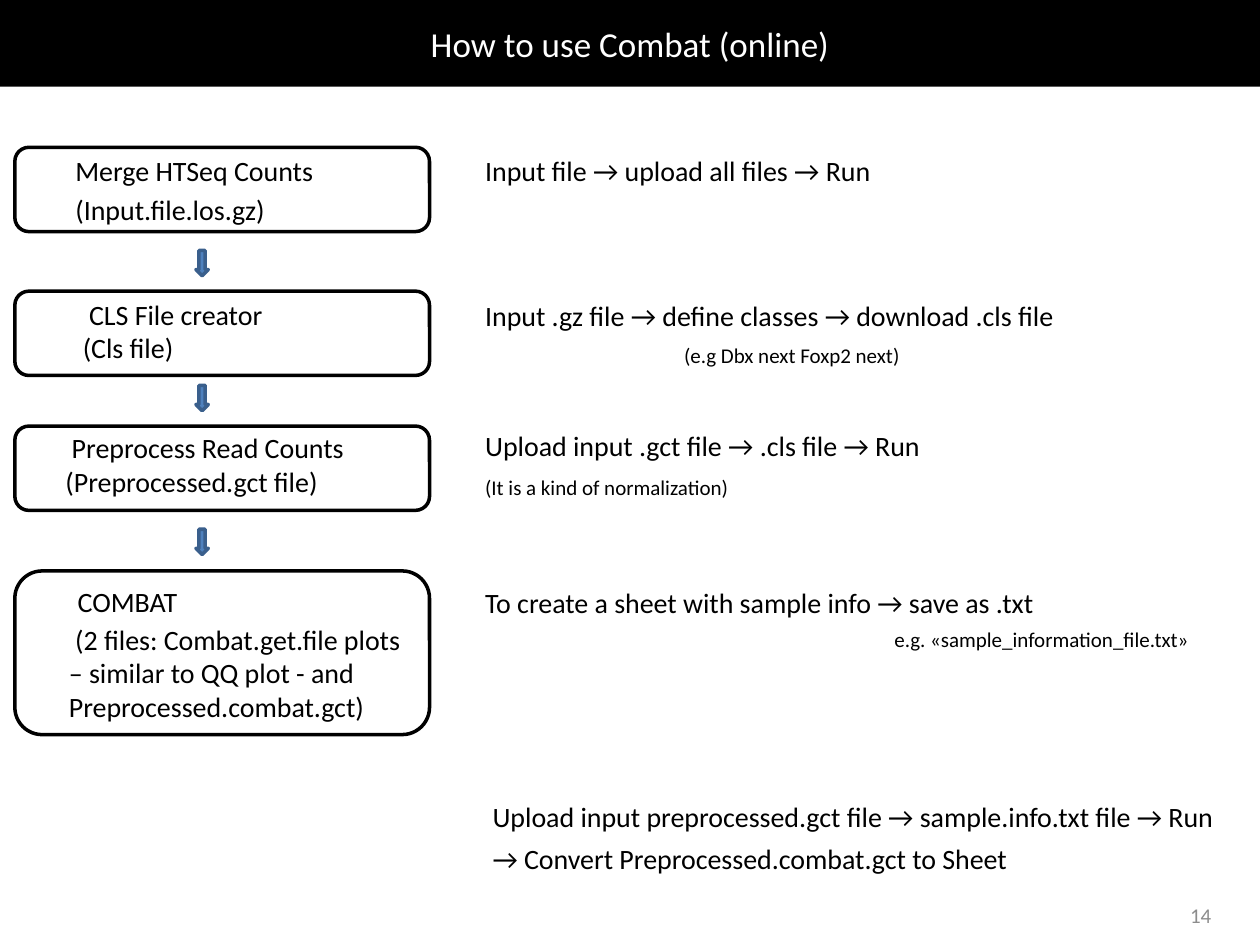
from dataclasses import dataclass

from pptx import Presentation
from pptx.dml.color import RGBColor
from pptx.enum.shapes import MSO_SHAPE
from pptx.enum.text import MSO_ANCHOR, MSO_AUTO_SIZE, PP_ALIGN
from pptx.shapes.autoshape import Shape
from pptx.slide import Slide
from pptx.util import Cm, Pt

RECTANGLE = MSO_SHAPE.RECTANGLE
ROUNDED = MSO_SHAPE.ROUNDED_RECTANGLE
DOWN_ARROW = MSO_SHAPE.DOWN_ARROW
LEFT, CENTER, RIGHT = PP_ALIGN.LEFT, PP_ALIGN.CENTER, PP_ALIGN.RIGHT
TOP, MIDDLE = MSO_ANCHOR.TOP, MSO_ANCHOR.MIDDLE
GROW = MSO_AUTO_SIZE.SHAPE_TO_FIT_TEXT


@dataclass(frozen=True)
class Theme:
    font: str = "Calibri"
    black: RGBColor = RGBColor(0x00, 0x00, 0x00)
    white: RGBColor = RGBColor(0xFF, 0xFF, 0xFF)
    grey: RGBColor = RGBColor(0x8C, 0x8C, 0x8C)
    arrow_fill: RGBColor = RGBColor(0x4F, 0x81, 0xBD)
    arrow_line: RGBColor = RGBColor(0x3A, 0x5F, 0x8C)
    title_size: float = 20
    body_size: float = 16
    small_size: float = 12
    line_width: float = 2


THEME = Theme()


@dataclass(frozen=True)
class Area:
    """Left, top, width and height in centimetres."""
    left: float
    top: float
    width: float
    height: float

    def lengths(self) -> tuple[Cm, Cm, Cm, Cm]:
        return Cm(self.left), Cm(self.top), Cm(self.width), Cm(self.height)


@dataclass(frozen=True)
class Label:
    area: Area
    text: str
    size: float = THEME.body_size
    wrap: bool = False
    grow: bool = True
    space_before: float = 0


# Flow chart: frames and the arrows between them
FRAME_LEFT, FRAME_WIDTH = 0.3, 8.36
FRAMES = [Area(FRAME_LEFT, top, FRAME_WIDTH, height)
          for top, height in [(2.97, 1.7), (5.87, 1.7), (8.59, 1.7), (11.51, 3.3)]]
ARROWS = [Area(3.95, top, 0.25, 0.51) for top in (5.05, 7.77, 10.67)]

STEP_LABELS = [
    Label(Area(1.27, 2.97, 8.05, 1.68), "Merge HTSeq Counts\n(Input.file.los.gz)",
          wrap=True, grow=False, space_before=3.2),
    Label(Area(1.42, 5.87, 4.19, 2.31), " CLS File creator\n(Cls file)"),
    Label(Area(1.07, 8.56, 6.2, 1.63), " Preprocess Read Counts\n(Preprocessed.gct file)"),
    Label(Area(1.19, 11.66, 2.67, 0.94), " COMBAT"),
    Label(Area(1.14, 12.42, 7.32, 2.31),
          " (2 files: Combat.get.file plots – similar to QQ plot - and\n"
          "Preprocessed.combat.gct)", wrap=True),
]

# Instructions beside the flow chart
NOTE_LEFT, LAST_LEFT = 9.53, 9.68
LINE, SMALL_LINE = 0.94, 0.76
NOTES = [
    Label(Area(NOTE_LEFT, 2.97, 8.46, LINE), "Input file → upload all files → Run"),
    Label(Area(NOTE_LEFT, 5.89, 12.19, LINE),
          "Input .gz file → define classes → download .cls file"),
    Label(Area(13.54, 6.78, 4.9, SMALL_LINE), "(e.g Dbx next Foxp2 next)", THEME.small_size),
    Label(Area(NOTE_LEFT, 8.51, 9.45, LINE), "Upload input .gct file → .cls file → Run"),
    Label(Area(NOTE_LEFT, 9.45, 5.56, SMALL_LINE), "(It is a kind of normalization)",
          THEME.small_size),
    Label(Area(NOTE_LEFT, 11.68, 11.94, LINE),
          "To create a sheet with sample info → save as .txt", wrap=True),
    Label(Area(17.78, 12.5, 6.5, SMALL_LINE), "e.g. «sample_information_file.txt»",
          THEME.small_size),
    Label(Area(LAST_LEFT, 16, 15.29, LINE),
          "Upload input preprocessed.gct file → sample.info.txt file → Run"),
    Label(Area(LAST_LEFT, 16.84, 10.92, LINE),
          "→ Convert Preprocessed.combat.gct to Sheet", wrap=True),
]


def write(shape: Shape, text: str, *, size: float = THEME.body_size,
          color: RGBColor = THEME.black, align: PP_ALIGN = LEFT,
          anchor: MSO_ANCHOR = TOP, wrap: bool = True, grow: bool = False,
          space_before: float = 0) -> None:
    frame = shape.text_frame
    frame.word_wrap = wrap
    frame.vertical_anchor = anchor
    if grow:
        frame.auto_size = GROW
    for index, line in enumerate(text.split("\n")):
        para = frame.add_paragraph() if index else frame.paragraphs[0]
        para.alignment = align
        if index:
            para.space_before = Pt(space_before)
        span = para.add_run()
        span.text = line
        span.font.name = THEME.font
        span.font.size = Pt(size)
        span.font.color.rgb = color


def add_figure(page: Slide, kind: MSO_SHAPE, area: Area,
               fill: RGBColor | None = None, line: RGBColor | None = None) -> Shape:
    shape = page.shapes.add_shape(kind, *area.lengths())
    shape.shadow.inherit = False
    if fill is None:
        shape.fill.background()
    else:
        shape.fill.solid()
        shape.fill.fore_color.rgb = fill
    if line is None:
        shape.line.fill.background()
    else:
        shape.line.color.rgb = line
        shape.line.width = Pt(THEME.line_width)
    return shape


def add_label(page: Slide, label: Label) -> None:
    box = page.shapes.add_textbox(*label.area.lengths())
    write(box, label.text, size=label.size, wrap=label.wrap, grow=label.grow,
          space_before=label.space_before)


def main() -> None:
    deck = Presentation()
    deck.slide_width, deck.slide_height = Cm(25.4), Cm(19.05)
    page = deck.slides.add_slide(deck.slide_layouts[6])

    # Title bar
    bar = add_figure(page, RECTANGLE, Area(0, 0, 25.4, 1.75), fill=THEME.black)
    write(bar, "How to use Combat (online)", size=THEME.title_size,
          color=THEME.white, align=CENTER, anchor=MIDDLE)

    # Flow chart and instructions
    for area in FRAMES:
        add_figure(page, ROUNDED, area, line=THEME.black)
    for area in ARROWS:
        add_figure(page, DOWN_ARROW, area, fill=THEME.arrow_fill, line=THEME.arrow_line)
    for label in STEP_LABELS + NOTES:
        add_label(page, label)

    # Page number
    number = page.shapes.add_textbox(*Area(18.75, 17.93, 5.92, 1.02).lengths())
    write(number, "14", size=THEME.small_size, color=THEME.grey, align=RIGHT, anchor=MIDDLE)

    deck.save("out.pptx")


if __name__ == "__main__":
    main()
